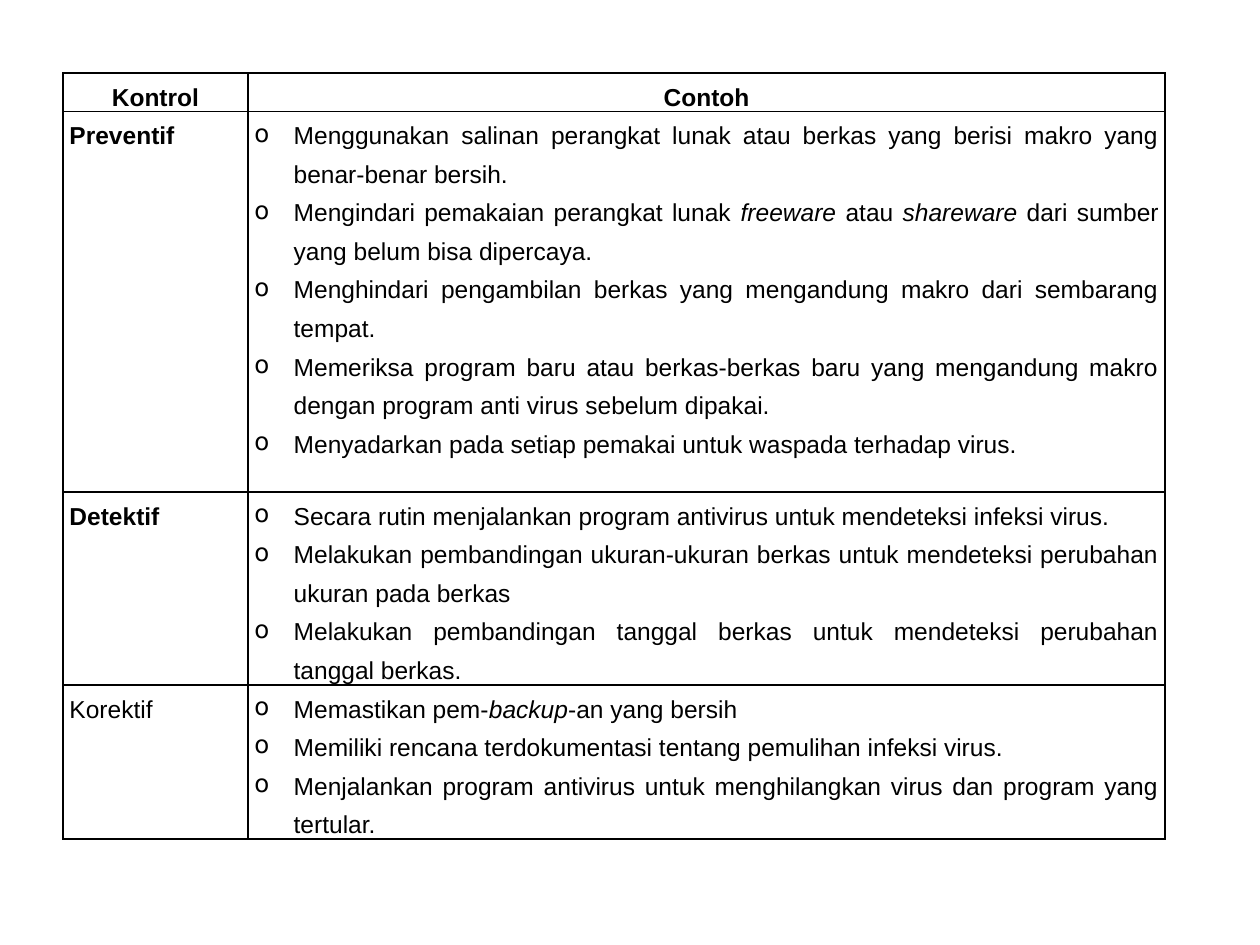
from lxml import etree
from pptx import Presentation
from pptx.dml.color import RGBColor
from pptx.enum.text import PP_ALIGN
from pptx.oxml.ns import qn
from pptx.util import Cm, Pt

CENTER = PP_ALIGN.CENTER
JUSTIFY = PP_ALIGN.JUSTIFY
BLACK = "000000"
COLUMN_WIDTHS = (3.73, 18.49)
ROW_HEIGHTS = (0.64, 7.67, 3.66, 3.05)
HEADERS = ("Kontrol", "Contoh")
CONTROLS = [
    ("Preventif", True, [
        "Menggunakan salinan perangkat lunak atau berkas yang berisi makro yang benar-benar bersih.",
        "Mengindari pemakaian perangkat lunak *freeware *atau *shareware *dari sumber yang belum bisa dipercaya.",
        "Menghindari pengambilan berkas yang mengandung makro dari sembarang tempat.",
        "Memeriksa program baru atau berkas-berkas baru yang mengandung makro dengan program anti virus sebelum dipakai.",
        "Menyadarkan pada setiap pemakai untuk waspada terhadap virus.",
    ]),
    ("Detektif", True, [
        "Secara rutin menjalankan program antivirus untuk mendeteksi infeksi virus.",
        "Melakukan pembandingan ukuran-ukuran berkas untuk mendeteksi perubahan ukuran pada berkas",
        "Melakukan pembandingan tanggal berkas untuk mendeteksi perubahan tanggal berkas.",
    ]),
    ("Korektif", False, [
        "Memastikan pem-*backup*-an yang bersih",
        "Memiliki rencana terdokumentasi tentang pemulihan infeksi virus.",
        "Menjalankan program antivirus untuk menghilangkan virus dan program yang tertular.",
    ]),
]


def color(value):
    return RGBColor.from_string(value)


def add_bullet(p):
    p.level = 1
    pPr = p._p.get_or_add_pPr()
    pPr.set("marL", str(Cm(0.79)))
    pPr.set("indent", str(-Cm(0.79)))
    etree.SubElement(pPr, qn("a:buChar"), char="o")


def add_runs(p, text, bold):
    for i, part in enumerate(text.split("*")):
        r = p.add_run()
        r.text = part
        r.font.name = "Arial"
        r.font.size = Pt(14)
        r.font.bold = bold
        r.font.italic = i % 2 == 1
        r.font.color.rgb = color(BLACK)


def add_borders(cell):
    tcPr = cell._tc.get_or_add_tcPr()
    for side in ("lnL", "lnR", "lnT", "lnB"):
        ln = etree.SubElement(tcPr, qn(f"a:{side}"), w=str(Pt(1)))
        fill = etree.SubElement(ln, qn("a:solidFill"))
        etree.SubElement(fill, qn("a:srgbClr"), val=BLACK)


def fill_cell(cell, texts, bold=False, align=JUSTIFY, bullets=False):
    add_borders(cell)
    cell.fill.background()
    cell.margin_left = cell.margin_right = Cm(0.13)
    cell.margin_top = cell.margin_bottom = 0
    tf = cell.text_frame
    for i, text in enumerate(texts):
        p = tf.paragraphs[0] if i == 0 else tf.add_paragraph()
        p.alignment = align
        p.line_spacing = 1.4
        if bullets:
            add_bullet(p)
        add_runs(p, text, bold)


def add_control_table(s):
    frame = s.shapes.add_table(len(ROW_HEIGHTS), len(COLUMN_WIDTHS),
                               Cm(1.27), Cm(1.47), Cm(22.22), Cm(15.8))
    table = frame.table
    table.first_row = False
    table.horz_banding = False
    for column, width in zip(table.columns, COLUMN_WIDTHS):
        column.width = Cm(width)
    for row, height in zip(table.rows, ROW_HEIGHTS):
        row.height = Cm(height)
    for j, header in enumerate(HEADERS):
        fill_cell(table.cell(0, j), [header], bold=True, align=CENTER)
    for i, (name, bold, examples) in enumerate(CONTROLS, start=1):
        fill_cell(table.cell(i, 0), [name], bold=bold)
        fill_cell(table.cell(i, 1), examples, bullets=True)
    frame.height = Cm(15.8)


def main():
    prs = Presentation()
    prs.slide_width = Cm(25.4)
    prs.slide_height = Cm(19.05)
    s = prs.slides.add_slide(prs.slide_layouts[6])
    add_control_table(s)
    prs.save("out.pptx")


if __name__ == "__main__":
    main()
